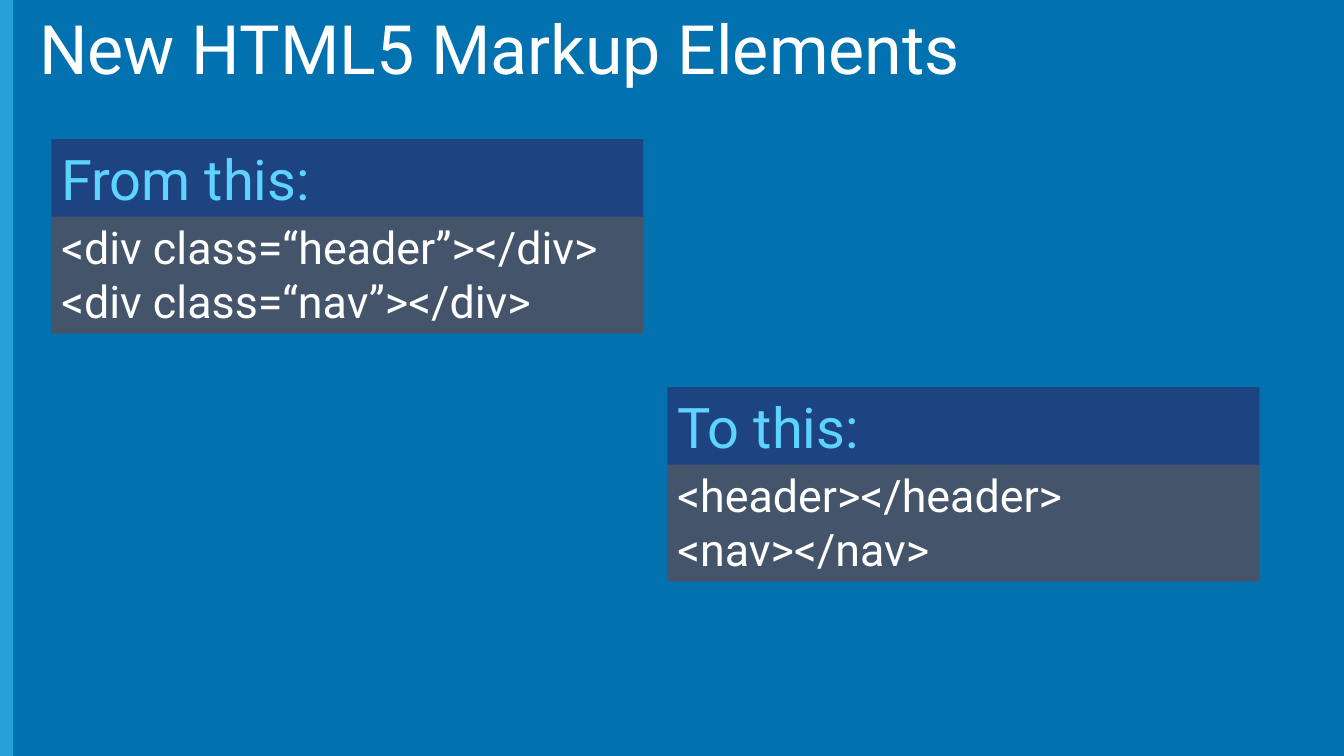
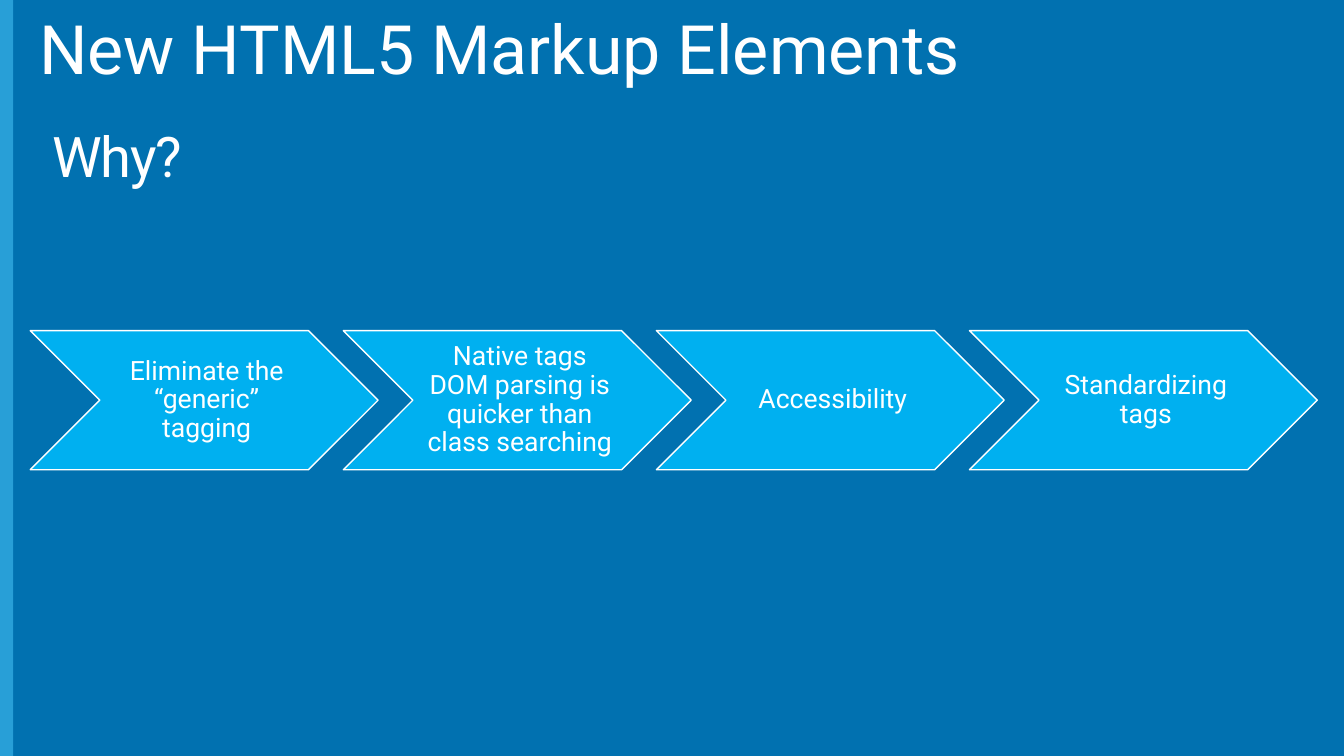
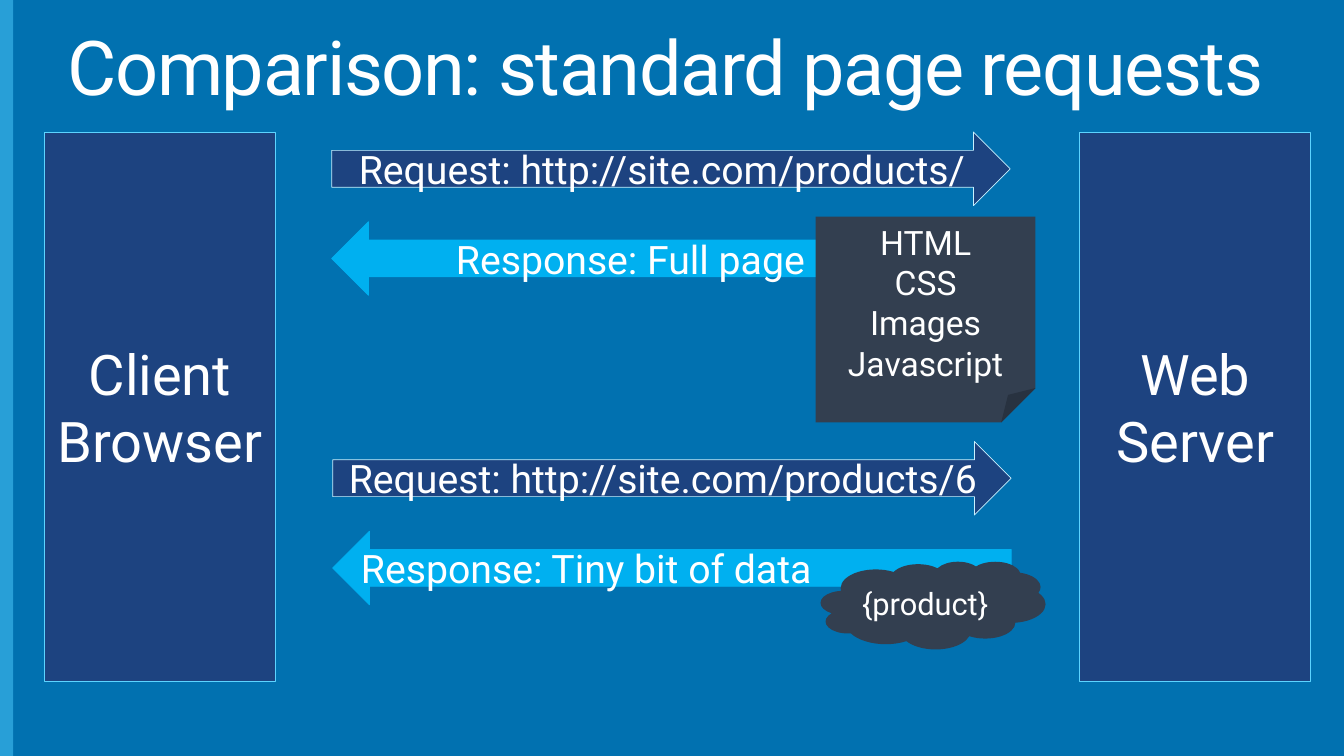
"""Build three slides on HTML5 markup and page requests."""
from dataclasses import dataclass
from typing import Optional

from pptx import Presentation
from pptx.dml.color import RGBColor
from pptx.enum.shapes import MSO_SHAPE
from pptx.enum.text import MSO_ANCHOR, MSO_AUTO_SIZE, PP_ALIGN
from pptx.presentation import Presentation as Deck
from pptx.slide import Slide
from pptx.text.text import TextFrame
from pptx.util import Inches, Pt

FONT = "Roboto"
WHITE = "FFFFFF"
BACKGROUND = "0171B0"
SIDE_BAND = "289FD7"
NAVY = "1D4380"
SLATE = "44546A"
CHARCOAL = "333F50"
SKY = "00B0F0"
PALE_SKY = "5DD4FF"
ICE = "C9F1FF"

SLIDE_WIDTH, SLIDE_HEIGHT = 13.33, 7.5
HEADING_HEIGHT = 0.77
ARROW_SIZE = (6.73, 0.73)


@dataclass(frozen=True)
class Box:
    """Place and size in inches."""
    left: float
    top: float
    width: float
    height: float


@dataclass(frozen=True)
class TextStyle:
    """Look of the text within a frame."""
    size: float
    color: str = WHITE
    align: PP_ALIGN = PP_ALIGN.LEFT
    anchor: MSO_ANCHOR = MSO_ANCHOR.MIDDLE
    line_spacing: float = 1.0
    tracking: float = 0
    insets: tuple[float, float, float, float] = (0.1, 0.05, 0.1, 0.05)


@dataclass(frozen=True)
class Block:
    """A filled shape with its text."""
    kind: MSO_SHAPE
    box: Box
    fill: str
    text: str = ""
    style: Optional[TextStyle] = None
    line: Optional[str] = None
    line_width: float = 0.5


@dataclass(frozen=True)
class CodePanel:
    """A heading above lines of markup."""
    left: float
    top: float
    heading: str
    code: str


@dataclass(frozen=True)
class Exchange:
    """A request, and the response below it."""
    left: float
    top: float
    request: str
    response: str
    response_inset: float


TITLE_BOX = Box(0.29, 0.11, 12.2, 0.82)
TITLE_STYLE = TextStyle(48.6, line_spacing=0.9)
WIDE_TITLE_BOX = Box(0.57, 0.25, 12.19, 0.82)
WIDE_TITLE_STYLE = TextStyle(54, anchor=MSO_ANCHOR.TOP, line_spacing=0.9, tracking=-1)
HEADING_STYLE = TextStyle(40, PALE_SKY, anchor=MSO_ANCHOR.TOP)
CODE_STYLE = TextStyle(32, anchor=MSO_ANCHOR.TOP)
QUESTION_STYLE = TextStyle(40, anchor=MSO_ANCHOR.TOP, line_spacing=0.9,
                           tracking=-1, insets=(0, 0, 0, 0))
REASON_STYLE = TextStyle(19, align=PP_ALIGN.CENTER, line_spacing=0.9,
                         insets=(0.08, 0.03, 0.03, 0.03))
HOST_STYLE = TextStyle(40, align=PP_ALIGN.CENTER)
REQUEST_STYLE = TextStyle(28, align=PP_ALIGN.CENTER)
PAGE_STYLE = TextStyle(24, align=PP_ALIGN.CENTER)
PRODUCT_STYLE = TextStyle(22, align=PP_ALIGN.CENTER)

MARKUP_TITLE = "New HTML5 Markup Elements"
PANELS = (
    CodePanel(0.51, 1.38, "From this:",
              "<div class=“header”></div>\n<div class=“nav”></div>"),
    CodePanel(6.62, 3.84, "To this:", "<header></header>\n<nav></nav>"),
)
REASONS = (
    "Eliminate the “generic” tagging",
    "Native tags DOM parsing is quicker than class searching",
    "Accessibility",
    "Standardizing tags",
)
HOSTS = ((0.44, "Client Browser"), (10.71, "Web\vServer"))
EXCHANGES = (
    Exchange(3.29, 1.31, "Request: http://site.com/products/", "Response: Full page", 1.05),
    Exchange(3.3, 4.38, "Request: http://site.com/products/6",
             "Response: Tiny bit of data", 0.1),
)
PAYLOADS = (
    Block(MSO_SHAPE.FOLDED_CORNER, Box(8.09, 2.15, 2.18, 2.04), CHARCOAL,
          "HTML\nCSS\nImages\nJavascript", PAGE_STYLE),
    Block(MSO_SHAPE.CLOUD, Box(8.14, 5.57, 2.23, 0.87), CHARCOAL, "{product}", PRODUCT_STYLE),
)


def rgb(color: str) -> RGBColor:
    """Turn a hex string into a colour."""
    return RGBColor.from_string(color)


def lengths(box: Box) -> tuple[Inches, ...]:
    """Give left, top, width and height as lengths."""
    return tuple(Inches(side) for side in (box.left, box.top, box.width, box.height))


def write(frame: TextFrame, text: str, style: TextStyle) -> None:
    """Fill a text frame and style its paragraphs."""
    frame.text = text
    frame.word_wrap = True
    frame.auto_size = MSO_AUTO_SIZE.NONE
    frame.vertical_anchor = style.anchor
    (frame.margin_left, frame.margin_top,
     frame.margin_right, frame.margin_bottom) = map(Inches, style.insets)
    for paragraph in frame.paragraphs:
        paragraph.alignment = style.align
        paragraph.line_spacing = style.line_spacing
        paragraph.font.name = FONT
        paragraph.font.size = Pt(style.size)
        paragraph.font.color.rgb = rgb(style.color)
        if style.tracking:
            paragraph.font._element.set("spc", str(round(style.tracking * 100)))


def draw(shapes, block: Block) -> None:
    """Draw a block on a slide or in a group."""
    shape = shapes.add_shape(block.kind, *lengths(block.box))
    shape.shadow.inherit = False
    shape.fill.solid()
    shape.fill.fore_color.rgb = rgb(block.fill)
    if block.line:
        shape.line.color.rgb = rgb(block.line)
        shape.line.width = Pt(block.line_width)
    else:
        shape.line.fill.background()
    if block.style:
        write(shape.text_frame, block.text, block.style)


def add_slide(deck: Deck, title: str, box: Box = TITLE_BOX,
              style: TextStyle = TITLE_STYLE) -> Slide:
    """Add a slide with the shared side band and title."""
    slide = deck.slides.add_slide(deck.slide_layouts.get_by_name("Title Only"))
    draw(slide.shapes, Block(MSO_SHAPE.RECTANGLE, Box(0, 0, 0.13, SLIDE_HEIGHT), SIDE_BAND))
    heading = slide.shapes.title
    heading.left, heading.top, heading.width, heading.height = lengths(box)
    write(heading.text_frame, title, style)
    return slide


def add_markup_slide(deck: Deck) -> None:
    """Set old markup against new markup."""
    slide = add_slide(deck, MARKUP_TITLE)
    for panel in PANELS:
        group = slide.shapes.add_group_shape().shapes
        code_box = Box(panel.left, panel.top + 0.75, 5.87, 1.18)
        heading_box = Box(panel.left, panel.top, 5.87, HEADING_HEIGHT)
        draw(group, Block(MSO_SHAPE.RECTANGLE, code_box, SLATE, panel.code, CODE_STYLE))
        draw(group, Block(MSO_SHAPE.RECTANGLE, heading_box, NAVY, panel.heading, HEADING_STYLE))


def add_reasons_slide(deck: Deck) -> None:
    """Show the reasons as a row of chevrons."""
    slide = add_slide(deck, MARKUP_TITLE)
    group = slide.shapes.add_group_shape().shapes
    width = 3.45
    for index, reason in enumerate(REASONS):
        box = Box(0.3 + index * width * 0.9, 3.28, width, 1.38)
        draw(group, Block(MSO_SHAPE.CHEVRON, box, SKY, reason, REASON_STYLE, WHITE, 1))
    question = slide.shapes.add_textbox(*lengths(Box(0.52, 1.28, 11.88, 0.61)))
    write(question.text_frame, "Why?", QUESTION_STYLE)


def add_requests_slide(deck: Deck) -> None:
    """Compare a full page request with a data request."""
    slide = add_slide(deck, "Comparison: standard page requests",
                      WIDE_TITLE_BOX, WIDE_TITLE_STYLE)
    for left, host in HOSTS:
        draw(slide.shapes, Block(MSO_SHAPE.RECTANGLE, Box(left, 1.31, 2.29, 5.45),
                                 NAVY, host, HOST_STYLE, PALE_SKY))
    for exchange in EXCHANGES:
        request_box = Box(exchange.left, exchange.top, *ARROW_SIZE)
        response_box = Box(exchange.left, exchange.top + 0.89, *ARROW_SIZE)
        response_style = TextStyle(28, insets=(exchange.response_inset, 0.05, 0.1, 0.05))
        draw(slide.shapes, Block(MSO_SHAPE.RIGHT_ARROW, request_box, NAVY,
                                 exchange.request, REQUEST_STYLE, ICE))
        draw(slide.shapes, Block(MSO_SHAPE.LEFT_ARROW, response_box, SKY,
                                 exchange.response, response_style, SKY))
    for payload in PAYLOADS:
        draw(slide.shapes, payload)


def main() -> None:
    """Build and save the deck."""
    deck = Presentation()
    deck.slide_width = Inches(SLIDE_WIDTH)
    deck.slide_height = Inches(SLIDE_HEIGHT)
    backdrop = deck.slide_master.background.fill
    backdrop.solid()
    backdrop.fore_color.rgb = rgb(BACKGROUND)
    add_markup_slide(deck)
    add_reasons_slide(deck)
    add_requests_slide(deck)
    deck.save("out.pptx")


if __name__ == "__main__":
    main()
